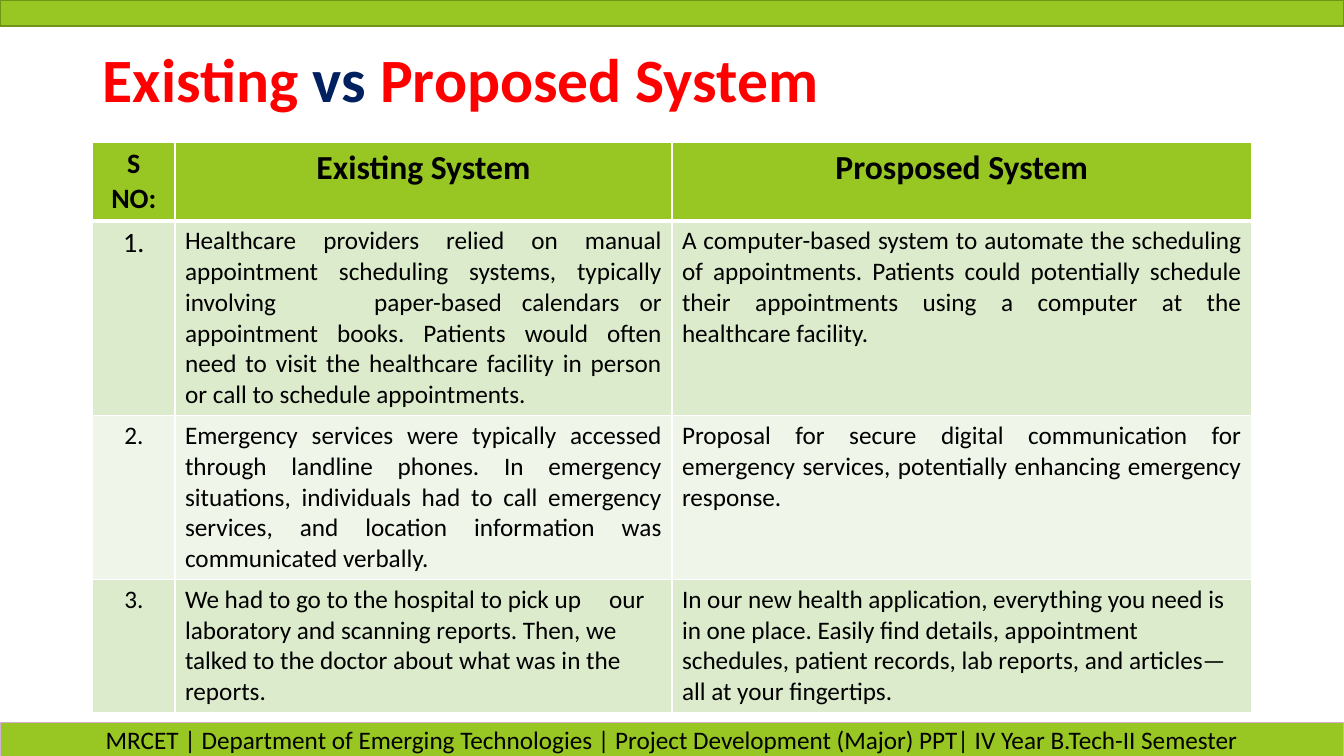
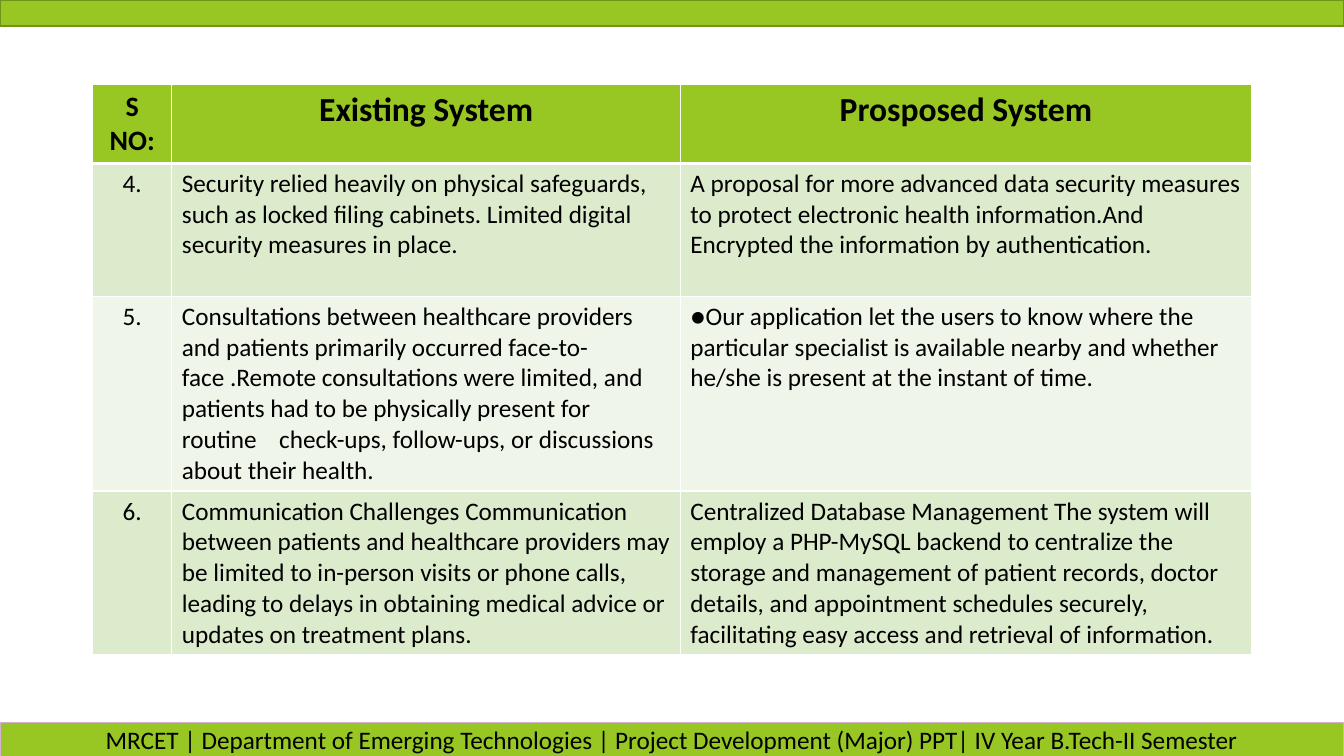
from typing import NamedTuple

from lxml.etree import SubElement
from pptx import Presentation
from pptx.dml.color import RGBColor
from pptx.enum.shapes import MSO_SHAPE
from pptx.enum.text import MSO_ANCHOR, PP_ALIGN
from pptx.oxml import parse_xml
from pptx.oxml.ns import nsdecls, qn
from pptx.util import Pt

FONT = "Calibri"
GREEN, BLACK, WHITE = "98C723", "000000", "FFFFFF"
RED, NAVY = "FF0000", "002060"
ROW_FILLS = ("DDEBCD", "EFF5E8")
SLIDE_W, SLIDE_H = 960, 540
MARGIN = 66.25


class Cell(NamedTuple):
    text: str
    size: int = 18
    tab: float = 0
    bullet: str = ""


FOOTER = ("MRCET | Department of Emerging Technologies | "
          "Project Development (Major) PPT| IV Year B.Tech-II Semester")
TITLE = [("Existing ", RED), ("vs ", NAVY), ("Proposed System", RED)]
HEADER = [Cell("S NO:", 20), Cell("Existing System", 24), Cell("Prosposed System", 24)]

TABLES = [
    {
        "title": TITLE, "top": 101.5, "justified": (1, 2),
        "cols": (58.75, 355, 414), "heights": (55.75, 139, 117, 95),
        "rows": [
            [Cell("1.", 20),
             Cell("Healthcare providers relied on manual appointment scheduling systems, "
                  "typically involving\tpaper-based calendars or appointment books. Patients "
                  "would often need to visit the healthcare facility in person or call to "
                  "schedule appointments.", tab=135),
             Cell("A computer-based system to automate the scheduling of appointments. "
                  "Patients could potentially schedule their appointments using a computer "
                  "at the healthcare facility.")],
            [Cell("2."),
             Cell("Emergency services were typically accessed through landline phones. In "
                  "emergency situations, individuals had to call emergency services, and "
                  "location information was communicated verbally."),
             Cell("Proposal for secure digital communication for emergency services, "
                  "potentially enhancing emergency response.")],
            [Cell("3."),
             Cell("We had to go to the hospital to pick up\tour laboratory and scanning "
                  "reports. Then, we talked to the doctor about what was in the reports.",
                  tab=303),
             Cell("In our new health application, everything you need is in one place. "
                  "Easily find details, appointment schedules, patient records, lab reports, "
                  "and articles—all at your fingertips.")],
        ],
    },
    {
        "title": None, "top": 60.5, "justified": (),
        "cols": (56.5, 363.25, 408), "heights": (55.75, 95, 139, 117),
        "rows": [
            [Cell("4."),
             Cell("Security relied heavily on physical safeguards, such as locked filing "
                  "cabinets. Limited digital security measures in place."),
             Cell("A proposal for more advanced data security measures to protect electronic "
                  "health information.And Encrypted the information by authentication.")],
            [Cell("5."),
             Cell("Consultations between healthcare providers and patients primarily occurred "
                  "face-to-face .Remote consultations were limited, and patients had to be "
                  "physically present for routine\tcheck-ups, follow-ups, or discussions "
                  "about their health.", tab=69.5),
             Cell("Our application let the users to know where the particular specialist is "
                  "available nearby and whether he/she is present at the instant of time.",
                  bullet="●")],
            [Cell("6."),
             Cell("Communication Challenges Communication between patients and healthcare "
                  "providers may be limited to in-person visits or phone calls, leading to "
                  "delays in obtaining medical advice or updates on treatment plans."),
             Cell("Centralized Database Management The system will employ a PHP-MySQL backend "
                  "to centralize the storage and management of patient records, doctor "
                  "details, and appointment schedules securely, facilitating easy access and "
                  "retrieval of information.")],
        ],
    },
]


def rgb(color):
    return RGBColor.from_string(color)


def style(p, size, align, color=BLACK, bold=False):
    p.alignment = align
    f = p.font
    f.name, f.size, f.bold = FONT, Pt(size), bold
    f.color.rgb = rgb(color)


def add_band(s, top, height, line, text=""):
    band = s.shapes.add_shape(MSO_SHAPE.RECTANGLE, 0, Pt(top), Pt(SLIDE_W), Pt(height))
    band.shadow.inherit = False
    band.fill.solid()
    band.fill.fore_color.rgb = rgb(GREEN)
    band.line.color.rgb = rgb(line)
    band.line.width = Pt(1)
    if text:
        tf = band.text_frame
        tf.vertical_anchor = MSO_ANCHOR.MIDDLE
        tf.text = text
        style(tf.paragraphs[0], 18, PP_ALIGN.CENTER)
    return band


def move_to_master(prs, bands):
    """Make the bands part of the slide master, so that every slide shows them."""
    shapes = prs.slide_master.shapes
    next_id = max(sp.shape_id for sp in shapes) + 1
    for i, band in enumerate(bands):
        band.element.nvSpPr.cNvPr.set("id", str(next_id + i))
        shapes.element.append(band.element)


def set_borders(cell, row):
    tc_pr = cell._tc.get_or_add_tcPr()
    widths = {"L": 1, "R": 1, "T": 3 if row == 1 else 1, "B": 3 if row == 0 else 1}
    for i, (side, width) in enumerate(widths.items()):
        tc_pr.insert(i, parse_xml(
            f'<a:ln{side} {nsdecls("a")} w="{Pt(width)}"><a:solidFill>'
            f'<a:srgbClr val="{WHITE}"/></a:solidFill></a:ln{side}>'))


def fill_cell(cell, content, row, align):
    cell.fill.solid()
    cell.fill.fore_color.rgb = rgb(ROW_FILLS[(row - 1) % 2] if row else GREEN)
    set_borders(cell, row)
    cell.text = content.text
    p = cell.text_frame.paragraphs[0]
    p_pr = p._p.get_or_add_pPr()
    if content.bullet:
        p_pr.set("marL", "0")
        p_pr.set("indent", "0")
        SubElement(p_pr, qn("a:buFont"), typeface=FONT)
        SubElement(p_pr, qn("a:buChar"), char=content.bullet)
    if content.tab:
        tabs = SubElement(p_pr, qn("a:tabLst"))
        SubElement(tabs, qn("a:tab"), pos=str(Pt(content.tab)), algn="l")
    style(p, content.size, align, bold=row == 0)


def add_comparison(s, spec_table):
    cols, heights = spec_table["cols"], spec_table["heights"]
    rows = [HEADER] + spec_table["rows"]
    table = s.shapes.add_table(len(rows), len(cols), Pt(MARGIN), Pt(spec_table["top"]),
                               Pt(sum(cols)), Pt(sum(heights))).table
    for column, width in zip(table.columns, cols):
        column.width = Pt(width)
    for r, (contents, height) in enumerate(zip(rows, heights)):
        table.rows[r].height = Pt(height)
        for c, content in enumerate(contents):
            if r == 0 or c == 0:
                align = PP_ALIGN.CENTER
            else:
                align = PP_ALIGN.JUSTIFY if r in spec_table["justified"] else PP_ALIGN.LEFT
            fill_cell(table.cell(r, c), content, r, align)


def set_title(s, parts):
    title = s.shapes.title
    title.left, title.top, title.width, title.height = (
        Pt(v) for v in (MARGIN, 28.75, SLIDE_W - 2 * MARGIN, 60))
    tf = title.text_frame
    tf.vertical_anchor = MSO_ANCHOR.MIDDLE
    p = tf.paragraphs[0]
    p.line_spacing = 0.9
    style(p, 44, PP_ALIGN.LEFT, RED, bold=True)
    for text, color in parts:
        r = p.add_run()
        r.text = text
        r.font.color.rgb = rgb(color)


def main():
    prs = Presentation()
    prs.slide_width, prs.slide_height = Pt(SLIDE_W), Pt(SLIDE_H)
    title_only, blank = prs.slide_layouts[5], prs.slide_layouts[6]
    for content in TABLES:
        s = prs.slides.add_slide(title_only if content["title"] else blank)
        if content["title"]:
            set_title(s, content["title"])
        add_comparison(s, content)
    first = prs.slides[0]
    move_to_master(prs, [add_band(first, 0, 18.75, "70931A"),
                         add_band(first, 516.25, 24.5, "D4B0D2", FOOTER)])
    prs.save("out.pptx")


if __name__ == "__main__":
    main()
